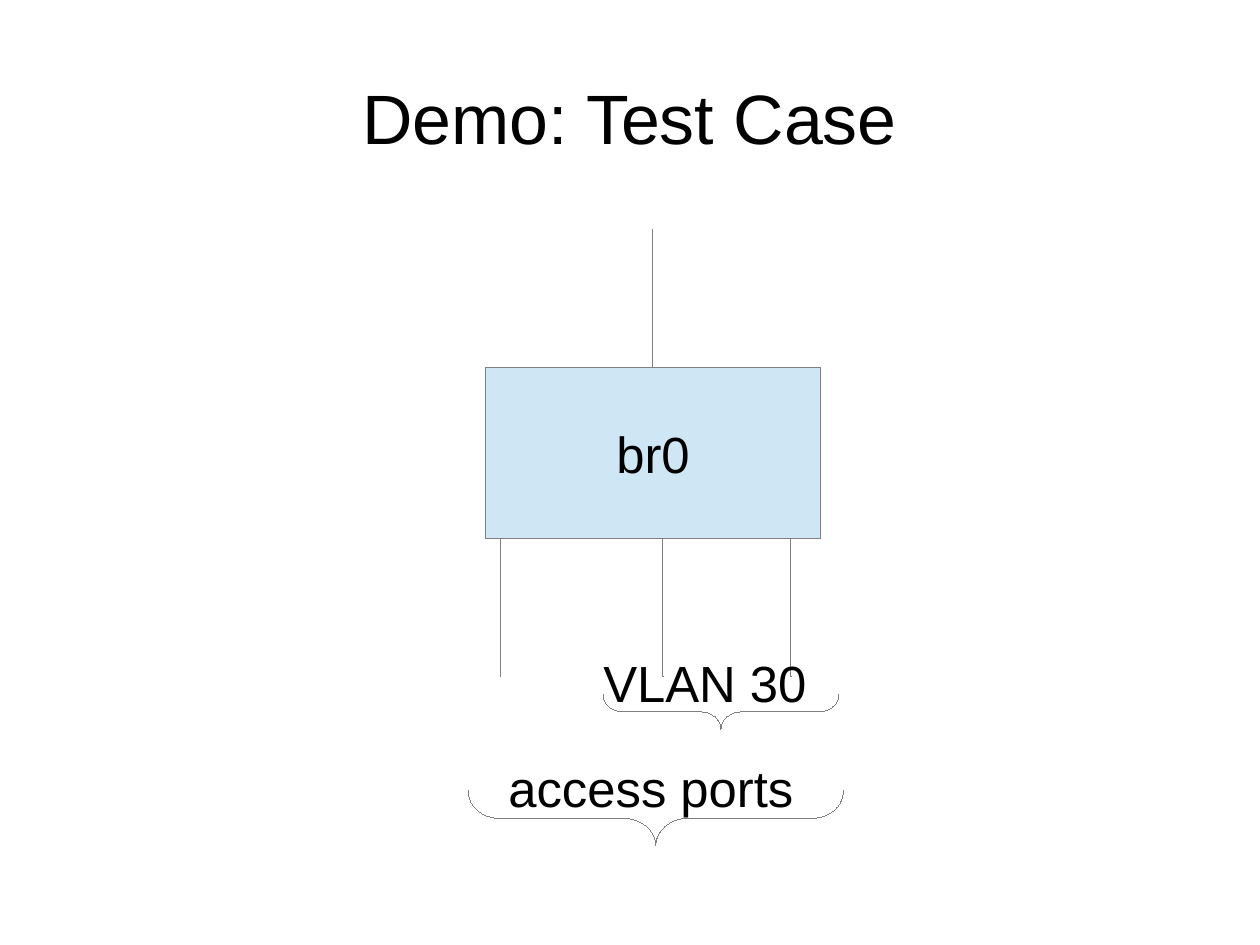
from dataclasses import dataclass

import pptx
import pptx.dml.color
import pptx.enum.shapes
import pptx.enum.text
import pptx.oxml
import pptx.oxml.ns
import pptx.util

Pt = pptx.util.Pt
Shapes = pptx.enum.shapes.MSO_SHAPE
Anchor = pptx.enum.text.MSO_ANCHOR

INK = "000000"
OUTLINE = "808080"
BRIDGE_FILL = "CFE7F5"


@dataclass
class Label:
    text: str
    left: float
    top: float
    width: float
    height: float
    size: float = 32
    anchor: Anchor = Anchor.TOP
    inset_x: float = 7.2
    inset_y: float = 3.6


@dataclass
class Port:
    bottom_x: float
    bottom_y: float
    top_x: float
    top_y: float


@dataclass
class Brace:
    center: float
    top: float
    span: float
    depth: float


BRIDGE = Label("br0", 305.9, 231.5, 211, 107.6, anchor=Anchor.MIDDLE)
BRIDGE_BOTTOM = BRIDGE.top + BRIDGE.height
PORT_END = 426.2

LABELS = [
    Label("Demo: Test Case", 39.6, 23.8, 714.3, 99.4, 44, Anchor.MIDDLE, 0, 0),
    Label("access ports", 310.8, 473, 198.7, 43.2),
    Label("VLAN 30", 352, 406.8, 184.3, 43.2),
]
UPLINK = Port(411.6, BRIDGE.top, 411.1, 144.7)
ACCESS_PORTS = [
    Port(bottom, PORT_END, top, BRIDGE_BOTTOM)
    for bottom, top in [(315.2, 315.2), (417.7, 417.1), (498.5, 497.9)]
]
BRACES = [Brace(413.1, 498.2, 236.2, 34.6), Brace(454.2, 437.6, 148.3, 21.6)]


def color(value: str) -> pptx.dml.color.RGBColor:
    """Turn a hex string into a colour."""
    return pptx.dml.color.RGBColor.from_string(value)


def outline(shape) -> None:
    """Give a shape the grey hairline style."""
    shape.line.color.rgb = color(OUTLINE)
    shape._element.spPr.get_or_add_ln().set("w", "0")


def write(frame, label: Label, wrap: bool) -> None:
    """Write the centred text of a label into a frame."""
    frame.text = label.text
    frame.word_wrap = wrap
    frame.vertical_anchor = label.anchor
    frame.margin_left = frame.margin_right = Pt(label.inset_x)
    frame.margin_top = frame.margin_bottom = Pt(label.inset_y)
    paragraph = frame.paragraphs[0]
    paragraph.alignment = pptx.enum.text.PP_ALIGN.CENTER
    font = paragraph.runs[0].font
    font.name = "Arial"
    font.size = Pt(label.size)
    font.color.rgb = color(INK)


def draw_label(slide, label: Label) -> None:
    """Draw a text box."""
    box = slide.shapes.add_textbox(
        Pt(label.left), Pt(label.top), Pt(label.width), Pt(label.height)
    )
    write(box.text_frame, label, True)


def draw_bridge(slide, bridge: Label) -> None:
    """Draw the bridge rectangle with its name."""
    box = slide.shapes.add_shape(
        Shapes.RECTANGLE,
        Pt(bridge.left), Pt(bridge.top), Pt(bridge.width), Pt(bridge.height),
    )
    box.shadow.inherit = False
    box.fill.solid()
    box.fill.fore_color.rgb = color(BRIDGE_FILL)
    outline(box)
    write(box.text_frame, bridge, False)


def draw_port(slide, port: Port) -> None:
    """Draw the line of a port from its bottom to its top."""
    wire = slide.shapes.add_connector(
        pptx.enum.shapes.MSO_CONNECTOR.ELBOW,
        Pt(port.bottom_x), Pt(port.bottom_y), Pt(port.top_x), Pt(port.top_y),
    )
    outline(wire)
    wire._element.spPr.append(pptx.oxml.parse_xml(
        f"<a:effectLst {pptx.oxml.ns.nsdecls('a')}/>"
    ))


def draw_brace(slide, brace: Brace) -> None:
    """Draw a brace turned so that its tip points down."""
    curve = slide.shapes.add_shape(
        Shapes.LEFT_BRACE,
        Pt(brace.center - brace.depth / 2),
        Pt(brace.top + (brace.depth - brace.span) / 2),
        Pt(brace.depth), Pt(brace.span),
    )
    curve.rotation = 270
    curve.adjustments[0] = 0.57
    curve.shadow.inherit = False
    curve.fill.background()
    outline(curve)


def main() -> None:
    """Build and save the slide."""
    deck = pptx.Presentation()
    deck.slide_width, deck.slide_height = Pt(793.7), Pt(595.28)
    slide = deck.slides.add_slide(deck.slide_layouts[6])
    title, *brace_labels = LABELS
    draw_label(slide, title)
    draw_bridge(slide, BRIDGE)
    for port in [UPLINK, *ACCESS_PORTS]:
        draw_port(slide, port)
    for brace, label in zip(BRACES, brace_labels):
        draw_brace(slide, brace)
        draw_label(slide, label)
    deck.save("out.pptx")


main()
